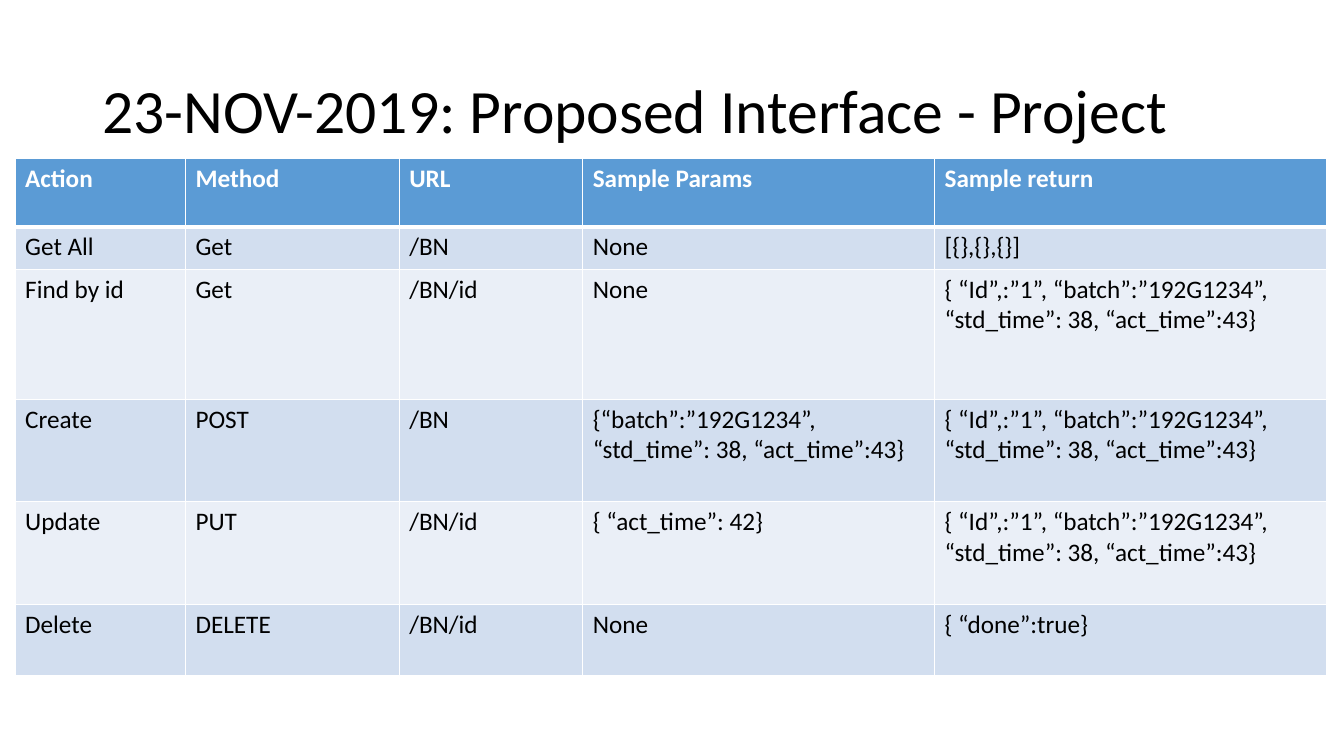
from dataclasses import dataclass

from lxml import etree
from pptx import Presentation
from pptx import util as u
from pptx.dml import color
from pptx.enum import text as t
from pptx.oxml import ns


@dataclass(frozen=True)
class Theme:
    """Colours and type sizes of the slide."""
    font: str = "Calibri"
    title_size: float = 44
    table_size: float = 18
    dark: str = "000000"
    light: str = "FFFFFF"
    header_fill: str = "5B9BD5"
    band_fills: tuple[str, str] = ("D2DEEF", "EAEFF7")
    border_width: float = 1
    header_rule_width: float = 3


@dataclass(frozen=True)
class Endpoint:
    """One table row: an interface action and its row height in inches."""
    action: str
    method: str
    url: str
    params: str
    returns: str
    height: float

    def texts(self) -> tuple[str, ...]:
        """Return the cell texts from left to right."""
        return self.action, self.method, self.url, self.params, self.returns


THEME = Theme()
RECORD = "{ “Id”,:”1”, “batch”:”192G1234”, “std_time”: 38, “act_time”:43}"
NEW_RECORD = "{“batch”:”192G1234”, “std_time”: 38, “act_time”:43}"
COLUMN_WIDTHS = (1.69, 2.12, 1.82, 3.49, 3.89)
HEADER = Endpoint("Action", "Method", "URL", "Sample Params", "Sample return", 0.68)
ENDPOINTS = (
    Endpoint("Get All", "Get", "/BN", "None", "[{},{},{}]", 0.42),
    Endpoint("Find by id", "Get", "/BN/id", "None", RECORD, 1.29),
    Endpoint("Create", "POST", "/BN", NEW_RECORD, RECORD, 1.02),
    Endpoint("Update", "PUT", "/BN/id", "{ “act_time”: 42}", RECORD, 1.02),
    Endpoint("Delete", "DELETE", "/BN/id", "None", "{ “done”:true}", 0.7),
)


def write_text(frame, content: str, *, size: float, colour: str,
               bold: bool = False, line_spacing: float = 1.0) -> None:
    """Write one formatted paragraph into a text frame."""
    paragraph = frame.paragraphs[0]
    paragraph.line_spacing = line_spacing
    run = paragraph.add_run()
    run.text = content
    run.font.name = THEME.font
    run.font.size = u.Pt(size)
    run.font.bold = bold
    run.font.color.rgb = color.RGBColor.from_string(colour)


def add_borders(cell, *, top: float, bottom: float) -> None:
    """Draw the four borders of a cell with the given rule widths."""
    properties = cell._tc.get_or_add_tcPr()
    side = THEME.border_width
    for name, width in (("L", side), ("R", side), ("T", top), ("B", bottom)):
        line = etree.SubElement(properties, ns.qn(f"a:ln{name}"), w=str(u.Pt(width)))
        fill = etree.SubElement(line, ns.qn("a:solidFill"))
        etree.SubElement(fill, ns.qn("a:srgbClr"), val=THEME.light)


def add_title(slide, content: str) -> None:
    """Add the slide title."""
    box = slide.shapes.add_textbox(u.Inches(0.92), u.Inches(0.4),
                                   u.Inches(11.5), u.Inches(1.45))
    frame = box.text_frame
    frame.word_wrap = True
    frame.vertical_anchor = t.MSO_ANCHOR.MIDDLE
    write_text(frame, content, size=THEME.title_size, colour=THEME.dark, line_spacing=0.9)


def add_interface_table(slide, rows: tuple[Endpoint, ...]) -> None:
    """Add the table with a header row and banded endpoint rows."""
    table = slide.shapes.add_table(
        len(rows), len(COLUMN_WIDTHS), u.Inches(0.15), u.Inches(1.57),
        u.Inches(sum(COLUMN_WIDTHS)), u.Inches(sum(row.height for row in rows))).table
    table.horz_banding = False
    for column, width in zip(table.columns, COLUMN_WIDTHS):
        column.width = u.Inches(width)
    for index, row in enumerate(rows):
        is_header = index == 0
        table.rows[index].height = u.Inches(row.height)
        fill = THEME.header_fill if is_header else THEME.band_fills[(index - 1) % 2]
        for cell, content in zip(table.rows[index].cells, row.texts()):
            add_borders(
                cell,
                top=THEME.header_rule_width if index == 1 else THEME.border_width,
                bottom=THEME.header_rule_width if is_header else THEME.border_width)
            cell.fill.solid()
            cell.fill.fore_color.rgb = color.RGBColor.from_string(fill)
            write_text(cell.text_frame, content, size=THEME.table_size, bold=is_header,
                       colour=THEME.light if is_header else THEME.dark)


def main() -> None:
    """Build and save the presentation."""
    presentation = Presentation()
    presentation.slide_width = u.Inches(13.33)
    presentation.slide_height = u.Inches(7.5)
    slide = presentation.slides.add_slide(presentation.slide_layouts[6])
    add_title(slide, "23-NOV-2019: Proposed Interface - Project")
    add_interface_table(slide, (HEADER, *ENDPOINTS))
    presentation.save("out.pptx")


if __name__ == "__main__":
    main()
